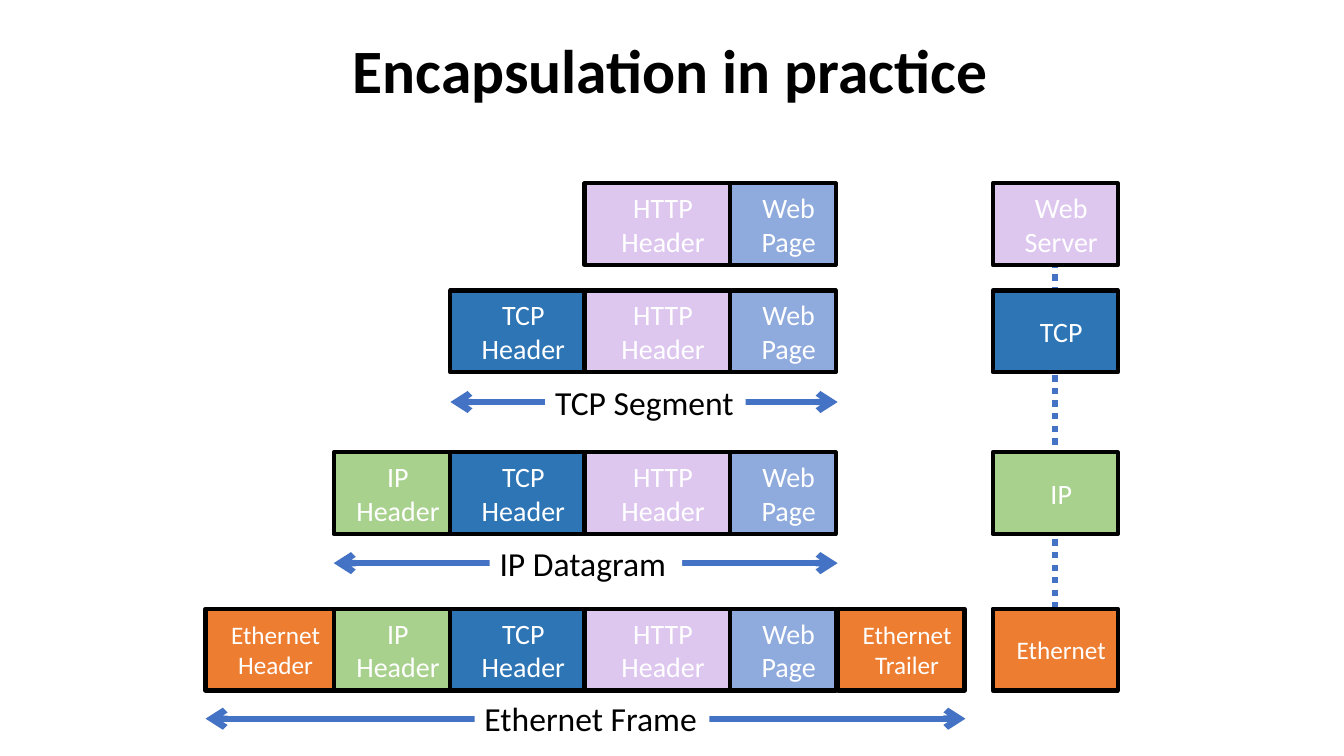
from lxml import etree
from pptx import Presentation
from pptx import util as u
from pptx.dml.color import RGBColor
from pptx.enum import dml, shapes, text
from pptx.oxml.ns import qn

WHITE = RGBColor(0xFF, 0xFF, 0xFF)
BLACK = RGBColor(0x00, 0x00, 0x00)
LINE_BLUE = RGBColor(0x44, 0x72, 0xC4)
ORANGE = RGBColor(0xED, 0x7D, 0x31)
GREEN = RGBColor(0xA9, 0xD1, 0x8E)
BLUE = RGBColor(0x2E, 0x75, 0xB6)
LILAC = RGBColor(0xDE, 0xC7, 0xEF)
PALE_BLUE = RGBColor(0x8F, 0xAA, 0xDC)
FONT = "Calibri"
BOX_HEIGHT = 2.06
STACK_LEFT, STACK_WIDTH = 25.02, 3.15

deck = Presentation()
deck.slide_width, deck.slide_height = u.Cm(33.87), u.Cm(19.05)
page = deck.slides.add_slide(deck.slide_layouts[5])


def add_box(label, left, top, width, fill):
    box = page.shapes.add_shape(shapes.MSO_SHAPE.RECTANGLE, u.Cm(left), u.Cm(top),
                                u.Cm(width), u.Cm(BOX_HEIGHT))
    box.shadow.inherit = False
    box.fill.solid()
    box.fill.fore_color.rgb = fill
    box.line.color.rgb = BLACK
    box.line.width = u.Pt(3)
    box.text_frame.word_wrap = True
    box.text_frame.vertical_anchor = text.MSO_ANCHOR.MIDDLE
    para = box.text_frame.paragraphs[0]
    para.text = label
    para.alignment = text.PP_ALIGN.CENTER
    para._p.get_or_add_pPr().set("marL", str(u.Cm(0.3)))
    para.font.name = FONT
    para.font.size = u.Pt(18 if fill == ORANGE else 20)
    para.font.color.rgb = WHITE


def add_line(left, top, right, bottom):
    line = page.shapes.add_connector(shapes.MSO_CONNECTOR.STRAIGHT, u.Cm(left), u.Cm(top),
                                     u.Cm(right), u.Cm(bottom))
    line.line.color.rgb = LINE_BLUE
    line.line.width = u.Pt(4.5)
    etree.SubElement(line._element.spPr, qn("a:effectLst"))
    return line


# Title
title = page.shapes.title
title.left, title.top, title.width, title.height = u.Cm(2.29), u.Cm(0.81), u.Cm(29.21), u.Cm(2.49)
title.text_frame.auto_size = text.MSO_AUTO_SIZE.NONE
title.text_frame.vertical_anchor = text.MSO_ANCHOR.MIDDLE
heading = title.text_frame.paragraphs[0]
heading.text = "Encapsulation in practice"
heading.alignment = text.PP_ALIGN.CENTER
heading.line_spacing = u.Pt(35)
heading.font.name = FONT
heading.font.size = u.Pt(44)
heading.font.bold = True
heading.font.color.rgb = BLACK

# Protocol stack on the right
stack_line = add_line(26.59, 5.64, 26.59, 16.36)
stack_line.line.dash_style = dml.MSO_LINE.ROUND_DOT

# Each lower layer puts one more header in front: label, left, width, fill
parts = [
    ("Ethernet Header", 5.18, 3.23, ORANGE),
    ("IP Header", 8.41, 2.94, GREEN),
    ("TCP Header", 11.35, 3.38, BLUE),
    ("HTTP Header", 14.73, 3.66, LILAC),
    ("Web Page", 18.39, 2.67, PALE_BLUE),
]
# Layer, top, index of its first part
layers = [("Web Server", 4.62, 3), ("TCP", 7.32, 2), ("IP", 11.4, 1), ("Ethernet", 15.34, 0)]

for layer, top, first in layers:
    add_box(layer, STACK_LEFT, top, STACK_WIDTH, parts[first][3])
    for label, left, width, fill in parts[first:]:
        add_box(label, left, top, width, fill)
add_box("Ethernet Trailer", 21.11, 15.34, 3.2, ORANGE)

# Extent of each unit: name, arrow left, arrow right, arrow height, label left, label width
extents = [
    ("TCP Segment", 11.35, 21.11, 10.13, 13.74, 5.05),
    ("IP Datagram", 8.41, 21.11, 14.19, 12.34, 4.85),
    ("Ethernet Frame", 5.18, 24.33, 18.11, 11.96, 5.92),
]
for name, left, right, height, label_left, label_width in extents:
    arrow = add_line(left, height, right, height)
    for end in ("a:headEnd", "a:tailEnd"):
        etree.SubElement(arrow.line._get_or_add_ln(), qn(end), type="arrow")
    label = page.shapes.add_textbox(u.Cm(label_left), u.Cm(height - 0.64),
                                    u.Cm(label_width), u.Cm(1.28))
    label.fill.solid()
    label.fill.fore_color.rgb = WHITE
    label.text_frame.word_wrap = False
    label.text_frame.auto_size = text.MSO_AUTO_SIZE.SHAPE_TO_FIT_TEXT
    para = label.text_frame.paragraphs[0]
    para.text = name
    para.font.name = FONT
    para.font.size = u.Pt(24)
    para.font.color.rgb = BLACK

deck.save("out.pptx")
